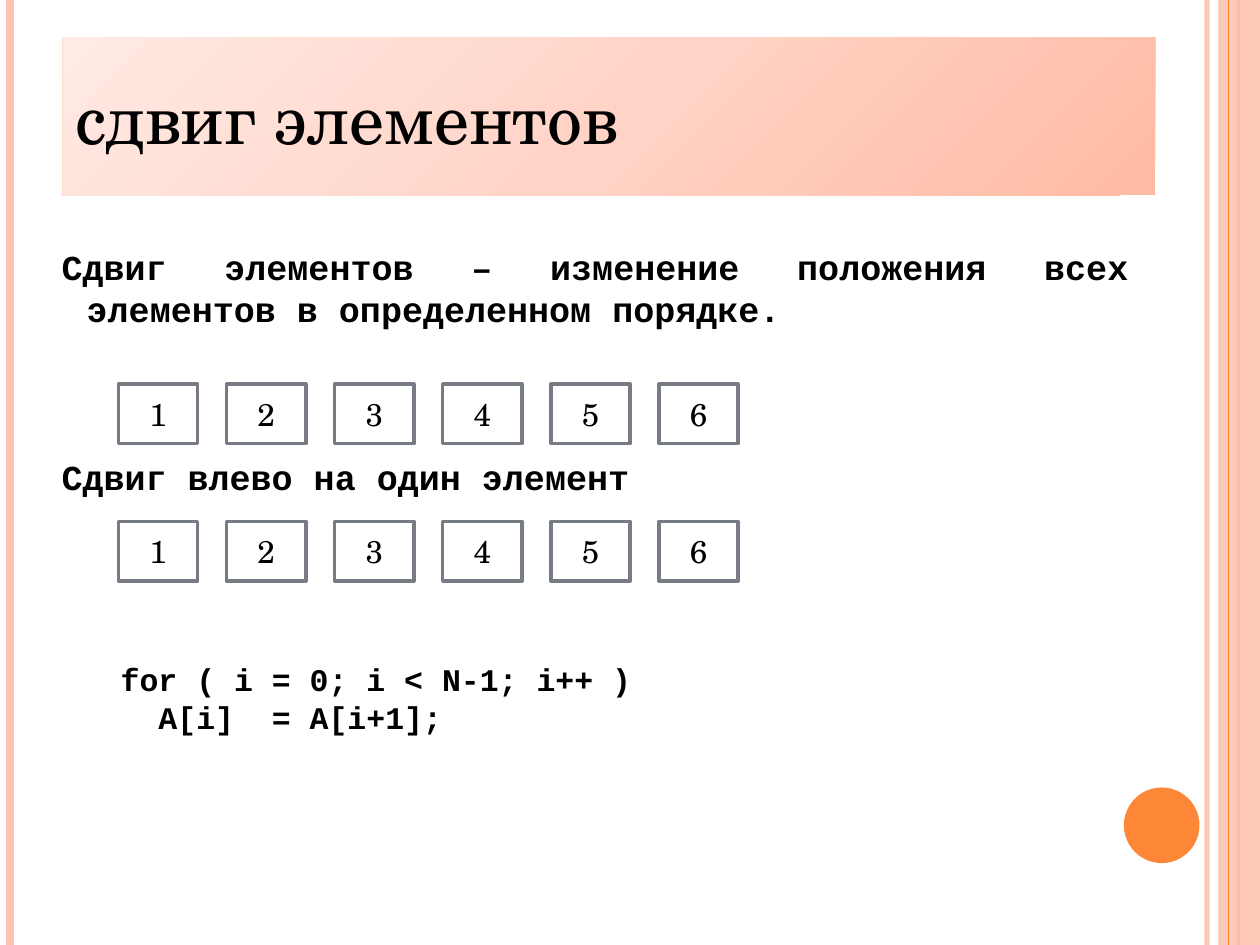
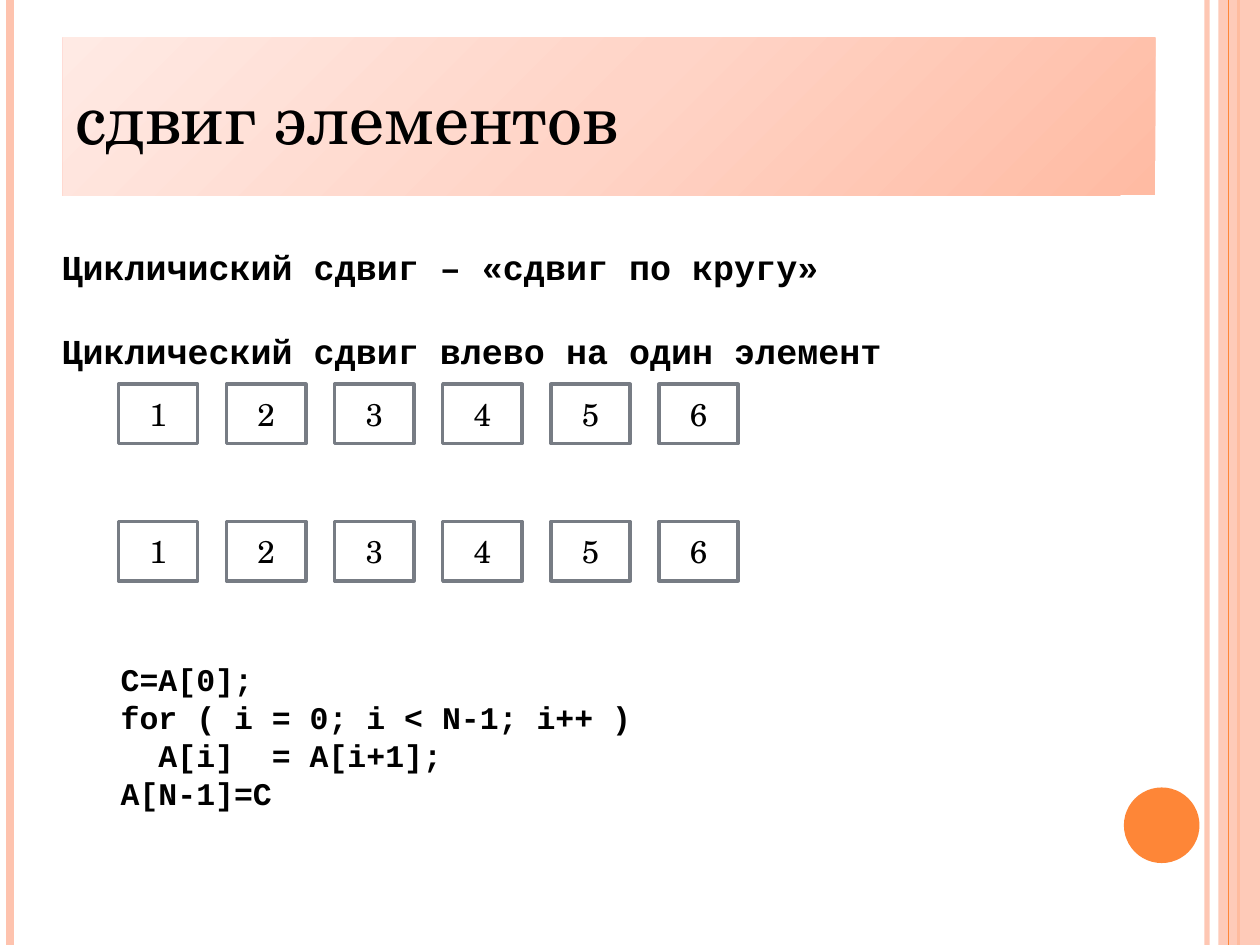
from dataclasses import dataclass

from lxml import etree
from pptx import Presentation
from pptx.dml.color import RGBColor
from pptx.enum.shapes import MSO_CONNECTOR, MSO_SHAPE
from pptx.enum.text import MSO_ANCHOR as Anchor, PP_ALIGN as Align
from pptx.oxml import parse_xml
from pptx.oxml.ns import nsdecls, qn
from pptx.util import Inches, Pt

# Shared look
BLACK = RGBColor(0x00, 0x00, 0x00)
WHITE = RGBColor(0xFF, 0xFF, 0xFF)
PEACH = RGBColor(0xFE, 0xC3, 0xAE)
ORANGE = RGBColor(0xFE, 0x86, 0x37)
GREY = RGBColor(0x77, 0x7C, 0x84)
TITLE_STOPS = (
    (0, RGBColor(0xFF, 0xBB, 0xA3)),
    (50, RGBColor(0xFF, 0xD4, 0xC7)),
    (100, RGBColor(0xFF, 0xEA, 0xE4)),
)
TITLE_ANGLE = 225
SERIF, MONO = "TeX Gyre Schola", "Courier New"
WIDTH, HEIGHT = 10, 7.5
LINE_FACTOR = 1.2

TITLE_FONT = {"name": SERIF, "size": Pt(40)}
CELL_FONT = {"name": SERIF, "size": Pt(18)}
BODY_FONT = {"name": MONO, "size": Pt(20), "bold": True}
CODE_FONT = {"name": MONO, "size": Pt(18), "bold": True}

# Array rows
CELL_COUNT = 6
CELL_LEFT, CELL_STEP = 0.94, 0.858
CELL_WIDTH, CELL_HEIGHT = 0.63, 0.47
ROW_TOPS = (3.05, 4.14)

HANGING = 0.2
CODE_INDENT = 0.3


@dataclass(frozen=True)
class Rule:
    x: float
    weight: float
    color: RGBColor
    opacity: int = 100


@dataclass(frozen=True)
class Line:
    text: str
    blank_lines_before: int = 0
    indent: float = 0


@dataclass(frozen=True)
class Lesson:
    title: str
    body: tuple[Line, ...]
    body_height: float
    code: tuple[Line, ...]
    code_height: float


RULES_BELOW = (
    Rule(9.58, 3, PEACH, 93),
    Rule(0.08, 4.5, PEACH),
    Rule(9.83, 1.5, ORANGE),
)
RULE_ABOVE = Rule(9.75, 0.75, ORANGE)

TITLE = "сдвиг элементов"
LOOP = (
    Line("for ( i = 0; i < N-1; i++ )"),
    Line("A[i]  = A[i+1];", indent=CODE_INDENT),
)
LESSONS = (
    Lesson(
        TITLE,
        (
            Line("Сдвиг элементов – изменение положения всех "
                 "элементов в определенном порядке."),
            Line("Сдвиг влево на один элемент", blank_lines_before=3),
        ),
        2.46,
        LOOP,
        0.71,
    ),
    Lesson(
        TITLE,
        (
            Line("Цикличиский сдвиг – «сдвиг по кругу»"),
            Line("Циклический сдвиг влево на один элемент", blank_lines_before=1),
        ),
        1.45,
        (Line("C=A[0];"), *LOOP, Line("A[N-1]=C")),
        1.31,
    ),
)


def set_all(target, values: dict) -> None:
    for name, value in values.items():
        setattr(target, name, value)


def set_opacity(element, percent: int) -> None:
    color = next(element.iter(qn("a:srgbClr")))
    etree.SubElement(color, qn("a:alpha")).set("val", str(percent * 1000))


def add_rule(page, rule: Rule) -> None:
    line = page.shapes.add_connector(
        MSO_CONNECTOR.STRAIGHT, Inches(rule.x), 0, Inches(rule.x), Inches(HEIGHT))
    line.line.color.rgb = rule.color
    line.line.width = Pt(rule.weight)
    properties = line._element.spPr
    if rule.opacity < 100:
        set_opacity(properties, rule.opacity)
    etree.SubElement(properties, qn("a:effectLst"))


def add_block(page, kind, left: float, top: float, width: float, height: float,
              color: RGBColor):
    block = page.shapes.add_shape(
        kind, Inches(left), Inches(top), Inches(width), Inches(height))
    block.shadow.inherit = False
    block.fill.solid()
    block.fill.fore_color.rgb = color
    block.line.fill.background()
    return block


def add_span(para, text: str, font: dict) -> None:
    span = para.add_run()
    span.text = text
    set_all(span.font, font)
    span.font.color.rgb = BLACK


def write_label(block, text: str, font: dict, align) -> None:
    set_all(block.text_frame, {"word_wrap": True, "vertical_anchor": Anchor.MIDDLE})
    para = block.text_frame.paragraphs[0]
    para.alignment = align
    add_span(para, text, font)


def add_decor(page) -> None:
    for rule in RULES_BELOW:
        add_rule(page, rule)
    band = add_block(page, MSO_SHAPE.RECTANGLE, 9.67, 0, WIDTH - 9.67, HEIGHT, PEACH)
    set_opacity(band._element.spPr, 87)
    add_rule(page, RULE_ABOVE)
    add_block(page, MSO_SHAPE.OVAL, 8.92, 6.25, 0.6, 0.6, ORANGE)


def add_title(page, text: str) -> None:
    block = add_block(page, MSO_SHAPE.RECTANGLE, 0.5, 0.3, 8.67, 1.25, WHITE)
    stops = "".join(
        f'<a:gs pos="{place * 1000}"><a:srgbClr val="{color}"/></a:gs>'
        for place, color in TITLE_STOPS)
    gradient = parse_xml(
        f'<a:gradFill {nsdecls("a")} rotWithShape="1"><a:gsLst>{stops}</a:gsLst>'
        f'<a:lin ang="{TITLE_ANGLE * 60000}" scaled="0"/></a:gradFill>')
    properties = block._element.spPr
    properties.replace(properties.find(qn("a:solidFill")), gradient)
    write_label(block, text, TITLE_FONT, Align.LEFT)


def add_lines(page, left: float, top: float, width: float, height: float,
              lines: tuple[Line, ...], font: dict) -> None:
    box = page.shapes.add_textbox(
        Inches(left), Inches(top), Inches(width), Inches(height))
    frame = box.text_frame
    set_all(frame, {"word_wrap": True, "margin_top": Inches(0.08)})
    pitch = font["size"].pt * LINE_FACTOR
    for index, line in enumerate(lines):
        para = frame.add_paragraph() if index else frame.paragraphs[0]
        set_all(para, {
            "alignment": Align.JUSTIFY,
            "line_spacing": Pt(pitch),
            "space_before": Pt(pitch * line.blank_lines_before),
        })
        indents = para._p.get_or_add_pPr()
        indents.set("marL", str(Inches(HANGING + line.indent)))
        indents.set("indent", str(-Inches(HANGING)))
        add_span(para, line.text, font)


def add_array(page, top: float) -> None:
    for index in range(CELL_COUNT):
        cell = add_block(page, MSO_SHAPE.RECTANGLE, CELL_LEFT + index * CELL_STEP,
                         top, CELL_WIDTH, CELL_HEIGHT, WHITE)
        cell.line.color.rgb = GREY
        cell.line.width = Pt(2)
        write_label(cell, str(index + 1), CELL_FONT, Align.CENTER)


def add_lesson(deck, lesson: Lesson) -> None:
    page = deck.slides.add_slide(deck.slide_layouts[6])
    add_decor(page)
    add_title(page, lesson.title)
    add_lines(page, 0.39, 1.87, 8.67, lesson.body_height, lesson.body, BODY_FONT)
    for top in ROW_TOPS:
        add_array(page, top)
    add_lines(page, 0.86, 5.16, 5, lesson.code_height, lesson.code, CODE_FONT)


# Build the deck
deck = Presentation()
set_all(deck, {"slide_width": Inches(WIDTH), "slide_height": Inches(HEIGHT)})
for lesson in LESSONS:
    add_lesson(deck, lesson)
deck.save("out.pptx")
